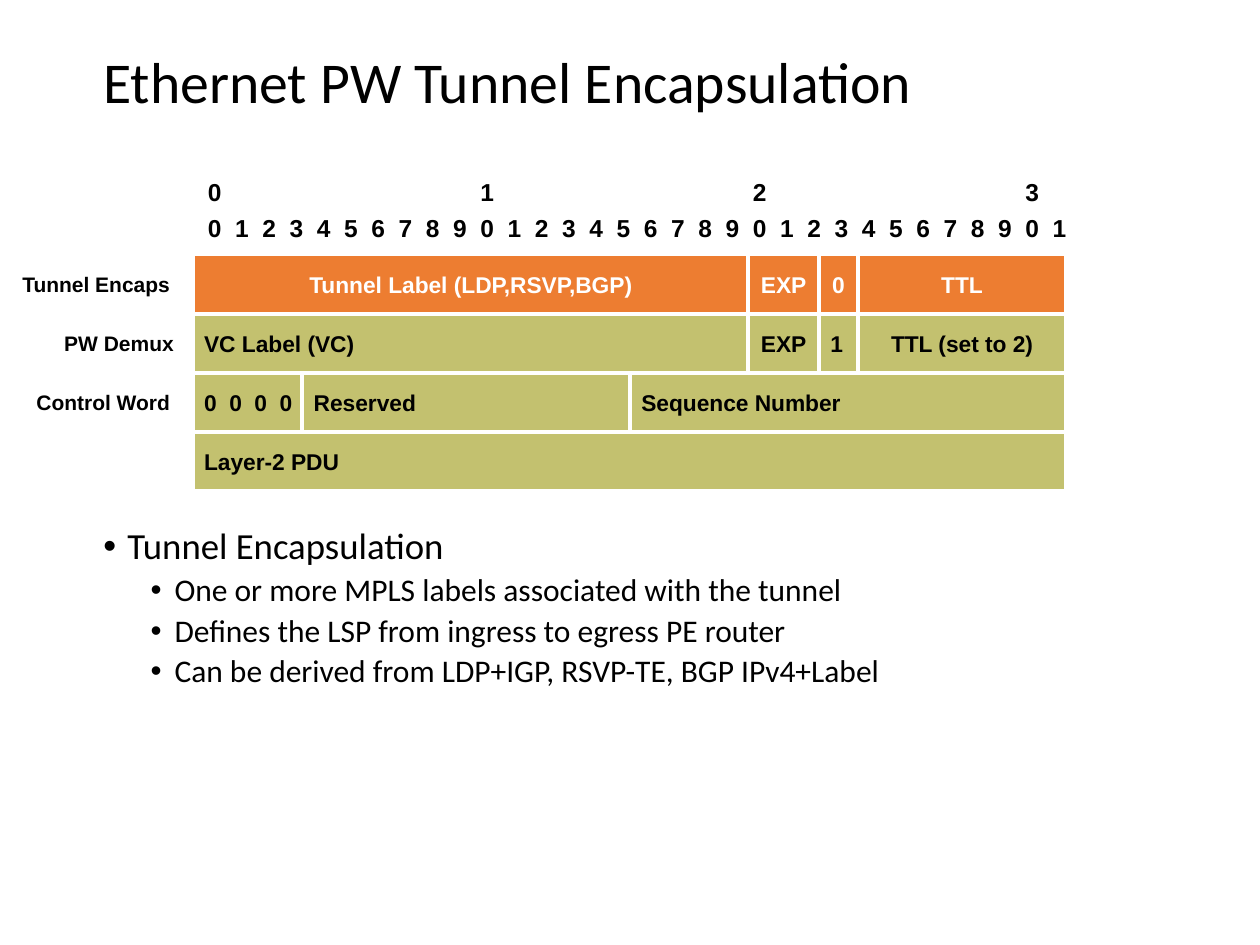
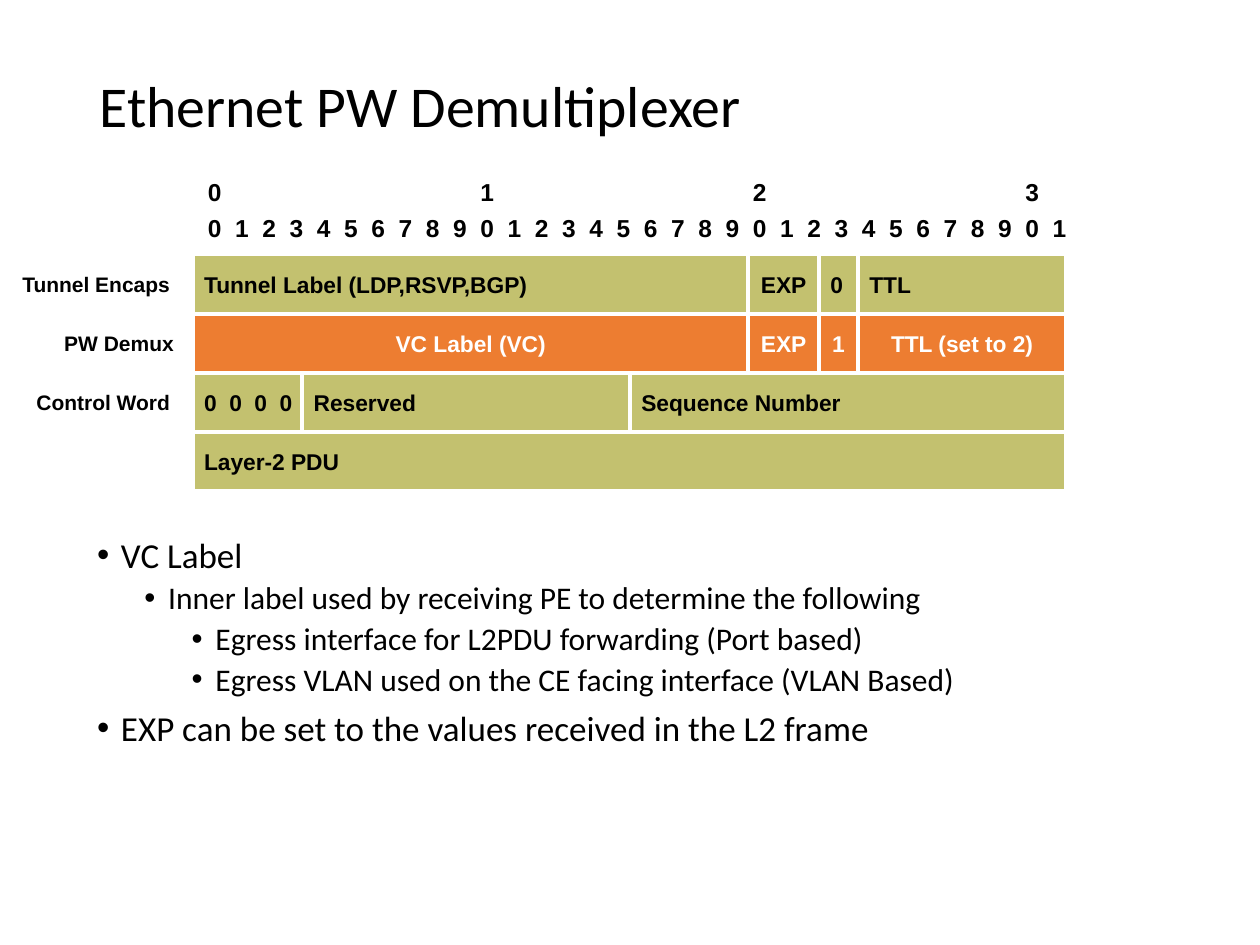
from lxml.etree import SubElement
from pptx import Presentation
from pptx.dml.color import RGBColor
from pptx.enum.shapes import MSO_SHAPE as Shape
from pptx.enum.text import MSO_ANCHOR as Anchor, MSO_AUTO_SIZE as Fit, PP_ALIGN as Align
from pptx.oxml.ns import qn
from pptx.util import Inches, Pt

BLACK = RGBColor(0, 0, 0)
WHITE = RGBColor(255, 255, 255)
OLIVE = RGBColor(0xC3, 0xC1, 0x6F)
ORANGE = RGBColor(0xED, 0x7D, 0x31)

LEFT, TOP, ROW = 1.53, 2.02, 0.47
PITCH = 15.57  # points from one bit number to the next
HANG = 0.14

# Each row: label, label left, label right inset, fields as (text, width)
ROWS = [
    ("Tunnel Encaps", 0, 0.18,
     [("Tunnel Label (LDP,RSVP,BGP)", 4.41), ("EXP", 0.56), ("0", 0.31), ("TTL", 1.65)]),
    ("PW Demux", 0.35, 0.15,
     [("VC Label (VC)", 4.41), ("EXP", 0.56), ("1", 0.31), ("TTL (set to 2)", 1.65)]),
    ("Control Word", 0.12, 0.18,
     [("0 0 0 0", 0.87), ("Reserved", 2.6), ("Sequence Number", 3.46)]),
    (None, 0, 0, [("Layer-2 PDU", 6.93)]),
]
CENTRED = {"EXP", "TTL (set to 2)"}
NARROW = {"0", "1"}
SPREAD = "0 0 0 0"


def style(para, size, name="Arial", color=BLACK, bold=True):
    font = para.font
    font.size, font.name, font.bold = Pt(size), name, bold
    font.color.rgb = color


def indent(para, left, first):
    props = para._p.get_or_add_pPr()
    props.set("marL", str(Inches(left)))
    props.set("indent", str(Inches(first)))
    return props


def inset(frame, side, end):
    frame.margin_left = frame.margin_right = Inches(side)
    frame.margin_top = frame.margin_bottom = Inches(end)


def place(shape, left, top, width, height):
    shape.left, shape.top = Inches(left), Inches(top)
    shape.width, shape.height = Inches(width), Inches(height)


def add_title(slide, text, box):
    title = slide.shapes.title
    place(title, *box)
    frame = title.text_frame
    frame.auto_size, frame.vertical_anchor = Fit.NONE, Anchor.MIDDLE
    para = frame.paragraphs[0]
    para.text, para.alignment, para.line_spacing = text, Align.LEFT, 0.9
    style(para, 33, "Calibri", bold=False)


def add_list(slide, items, box, size):
    """Fill the body with (level, text) items; size is for the top level."""
    body = slide.placeholders[1]
    place(body, *box)
    frame = body.text_frame
    frame.auto_size = Fit.NONE
    for i, (level, text) in enumerate(items):
        para = frame.add_paragraph() if i else frame.paragraphs[0]
        para.text, para.level = text, level
        props = indent(para, 0.19 + 0.375 * level, -0.19)
        SubElement(props, qn("a:buFont")).set("typeface", "Arial")
        SubElement(props, qn("a:buChar")).set("char", "•")
        para.line_spacing = 0.9
        para.space_before = Pt(0 if i == 0 else 3.8 if level else 7.5)
        style(para, 18 if level else size, "Calibri", bold=False)


def add_ruler(slide):
    """Number the 32 bits: tens above, units below, on tab stops."""
    box = slide.shapes.add_textbox(Inches(1.57), Inches(1.39), Inches(7.26), Inches(0.57))
    frame = box.text_frame
    frame.word_wrap = True
    inset(frame, 0.08, 0.04)
    lines = [(range(4), 10, 0.9, 0), ([n % 10 for n in range(32)], 1, 0.7, 8)]
    for i, (digits, step, spacing, before) in enumerate(lines):
        para = frame.add_paragraph() if i else frame.paragraphs[0]
        para.add_run().text = "\t".join(str(n) for n in digits)
        tabs = SubElement(para._p.get_or_add_pPr(), qn("a:tabLst"))
        for n in range(1, len(digits)):
            tab = SubElement(tabs, qn("a:tab"))
            tab.set("pos", str(Pt(PITCH * step * n)))
            tab.set("algn", "l")
        para.line_spacing, para.space_before = spacing, Pt(before)
        style(para, 14)


def add_field(slide, text, left, top, width, lit):
    cell = slide.shapes.add_shape(
        Shape.RECTANGLE, Inches(left), Inches(top), Inches(width), Inches(ROW))
    cell.shadow.inherit = False
    cell.fill.solid()
    cell.fill.fore_color.rgb = ORANGE if lit else OLIVE
    cell.line.color.rgb, cell.line.width = WHITE, Pt(2.25)
    frame = cell.text_frame
    frame.vertical_anchor = Anchor.MIDDLE
    frame.word_wrap = text in NARROW and not lit
    inset(frame, 0.09, 0.04)
    para = frame.paragraphs[0]
    run = para.add_run()
    run.text = text
    if text == SPREAD:
        run._r.get_or_add_rPr().set("spc", "180")
    indent(para, HANG, -HANG)
    para.alignment = Align.CENTER if lit or text in CENTRED else Align.LEFT
    style(para, 13, color=WHITE if lit else BLACK)


def add_label(slide, text, left, top, gap):
    box = slide.shapes.add_textbox(
        Inches(left), Inches(top), Inches(LEFT - left), Inches(ROW))
    frame = box.text_frame
    frame.word_wrap, frame.vertical_anchor = True, Anchor.MIDDLE
    frame.margin_left, frame.margin_right = 0, Inches(gap)
    para = frame.paragraphs[0]
    para.text, para.alignment = text, Align.RIGHT
    style(para, 12)


def add_frame(slide, lit):
    """Draw the packet layout with row number lit picked out."""
    add_ruler(slide)
    for i, (label, start, gap, fields) in enumerate(ROWS):
        top, left = TOP + i * ROW, LEFT
        for text, width in fields:
            add_field(slide, text, left, top, width, i == lit)
            left += width
        if label:
            add_label(slide, label, start, top, gap)


def main():
    deck = Presentation()
    deck.slide_width, deck.slide_height = Inches(10), Inches(7.5)
    layout = deck.slide_layouts[1]

    slide = deck.slides.add_slide(layout)
    add_title(slide, "Ethernet PW Tunnel Encapsulation", (0.72, 0.21, 9.28, 0.92))
    add_list(slide, [
        (0, "Tunnel Encapsulation"),
        (1, "One or more MPLS labels associated with the tunnel"),
        (1, "Defines the LSP from ingress to egress PE router"),
        (1, "Can be derived from LDP+IGP, RSVP-TE, BGP IPv4+Label"),
    ], (0.72, 4.14, 8.68, 2.91), 21)
    add_frame(slide, 0)

    slide = deck.slides.add_slide(layout)
    add_title(slide, "Ethernet PW Demultiplexer", (0.69, 0.4, 8.62, 0.93))
    add_list(slide, [
        (0, "VC Label"),
        (1, "Inner label used by receiving PE to determine the following"),
        (2, "Egress interface for L2PDU forwarding (Port based)"),
        (2, "Egress VLAN used on the CE facing interface (VLAN Based)"),
        (0, "EXP can be set to the values received in the L2 frame"),
    ], (0.67, 4.22, 8.68, 2.91), 20)
    add_frame(slide, 1)

    deck.save("out.pptx")


if __name__ == "__main__":
    main()
